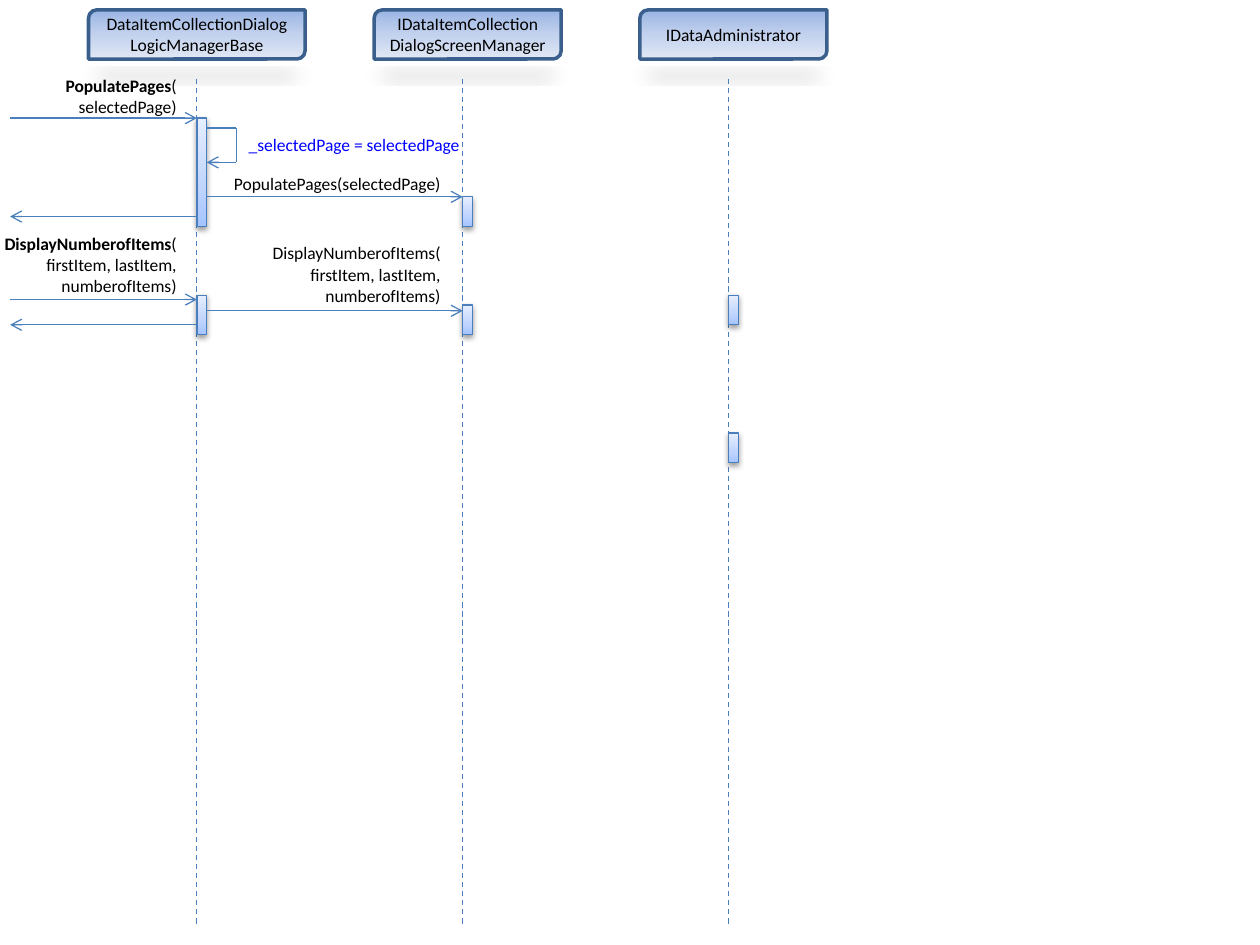
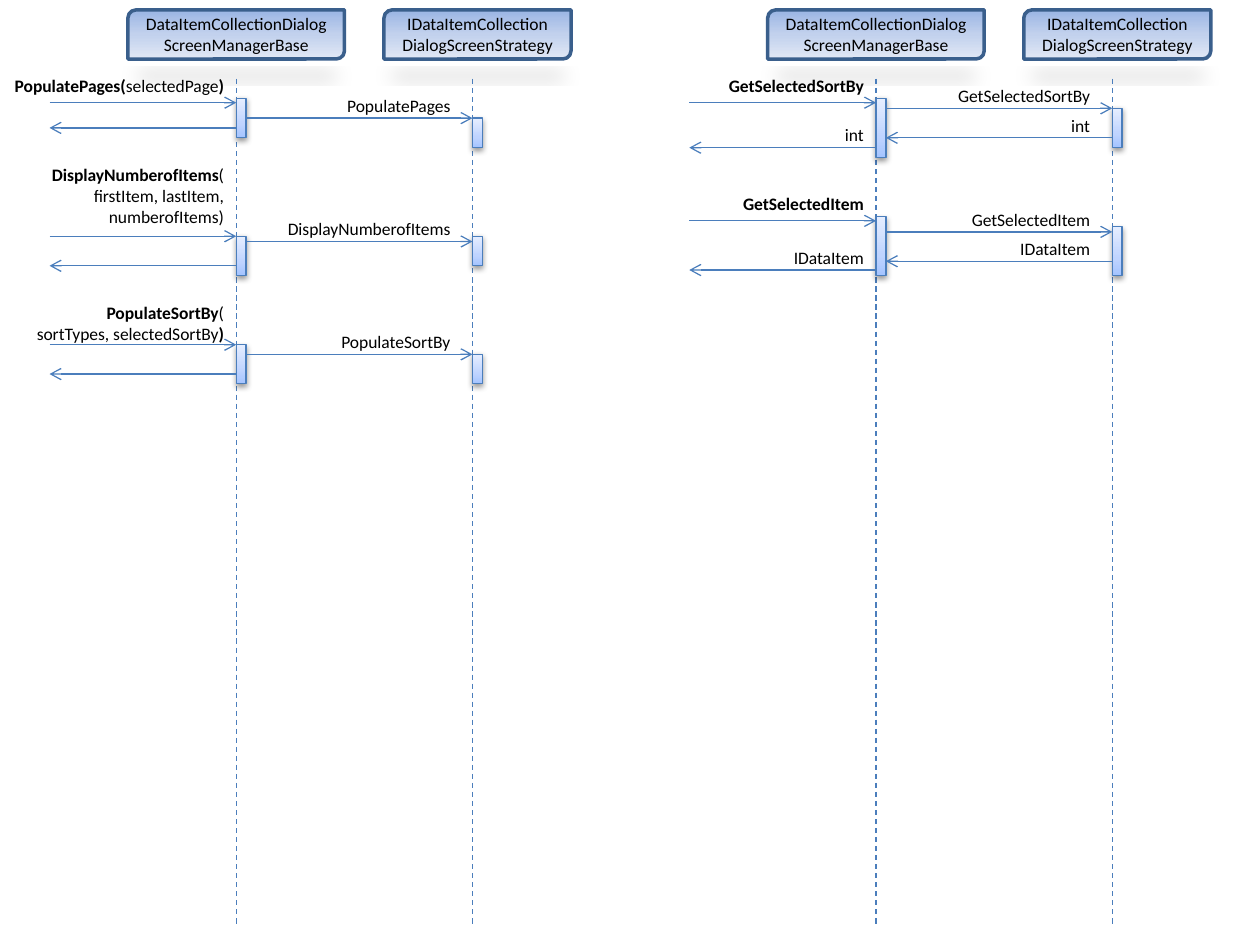
from copy import deepcopy
from itertools import pairwise

from lxml import etree
from pptx import Presentation
from pptx.dml.color import RGBColor
from pptx.enum.dml import MSO_LINE
from pptx.enum.shapes import MSO_CONNECTOR, MSO_SHAPE
from pptx.enum.text import MSO_ANCHOR, PP_ALIGN
from pptx.oxml.ns import qn
from pptx.util import Pt

STRAIGHT = MSO_CONNECTOR.STRAIGHT
DASH = MSO_LINE.DASH
HEAD_FORM = MSO_SHAPE.ROUND_2_DIAG_RECTANGLE
BAR_FORM = MSO_SHAPE.RECTANGLE
MIDDLE = MSO_ANCHOR.MIDDLE
LEFT, CENTER, RIGHT = PP_ALIGN.LEFT, PP_ALIGN.CENTER, PP_ALIGN.RIGHT

BLACK = RGBColor(0x00, 0x00, 0x00)
ASSIGNMENT_BLUE = RGBColor(0x00, 0x00, 0xFF)
LINE_BLUE = RGBColor(0x4B, 0x7E, 0xBC)
HEAD_BORDER = RGBColor(0x3A, 0x5F, 0x8C)
# Gradient stops run from top to bottom
HEAD_STOPS = [(0, RGBColor(0x9A, 0xB5, 0xE4)), (0.5, RGBColor(0xC2, 0xD1, 0xED)),
              (1, RGBColor(0xE1, 0xE8, 0xF5))]
BAR_STOPS = [(0, RGBColor(0xE6, 0xEE, 0xFF)), (0.65, RGBColor(0xBF, 0xD4, 0xFF)),
             (1, RGBColor(0xA4, 0xC4, 0xFF))]
HEAD_SHADOW = {"blurRad": Pt(12), "dist": Pt(7), "dir": 5400000,
               "sx": 90000, "sy": -19000, "rotWithShape": 0}
BAR_SHADOW = {"blurRad": Pt(3.15), "dist": Pt(1.6), "dir": 5400000, "rotWithShape": 0}

FONT, FONT_SIZE = "Calibri", 10
HEAD_TOP, HEAD_HEIGHT = 5.65, 28.1
WIDE_HEAD, NARROW_HEAD = (123.75, 61.9), (106.9, 50.6)  # width, offset of the lifeline
LIFELINE_TOP, LIFELINE_BOTTOM = 45, 528.5
BAR_WIDTH = 5.63
OUTER_LENGTH = 106.7
INNER_LABEL_GAP = 5.6
LABEL_PADDING, ROW_HEIGHT = 7.2, 12.2

OUTSIDE = None
ITEMS_ARGUMENTS = "(\nfirstItem, lastItem, numberofItems)"
BASE = "DataItemCollectionDialog\n"
INTERFACE = "IDataItemCollection\n"

# Lifelines: head text, head size, axis, bars as (top, height).
# Messages: sender, receiver, y, then label text (**bold**), top, width, rows.
DIAGRAMS = [
    {
        "outer label gap": 4.5,
        "lifelines": [
            (BASE + "LogicManagerBase", WIDE_HEAD, 112.5, [(67.5, 61.9), (168.75, 22.5)]),
            (INTERFACE + "DialogScreenManager", NARROW_HEAD, 264.4,
             [(112.5, 16.9), (174.4, 16.9)]),
            ("IDataAdministrator", NARROW_HEAD, 416.25, [(168.75, 16.9), (247.5, 16.9)]),
        ],
        "messages": [
            (OUTSIDE, 0, 67.5, "**PopulatePages**(\nselectedPage)", 39.4, 108, 2),
            (0, 1, 112.5, "PopulatePages(selectedPage)", 95.6, 152, 1),
            (0, OUTSIDE, 123.75),
            (OUTSIDE, 0, 171.2, "**DisplayNumberofItems**" + ITEMS_ARGUMENTS, 129.4, 124.6, 3),
            (0, 1, 177.6, "DisplayNumberofItems" + ITEMS_ARGUMENTS, 135, 152, 3),
            (0, OUTSIDE, 185.6),
        ],
        "assignments": [(0, 73.1, 92.8, "_selectedPage = selectedPage")],
    },
    {
        "outer label gap": 0,
        "lifelines": [
            (BASE + "ScreenManagerBase", WIDE_HEAD, 135,
             [(56.25, 22.5), (135, 22.5), (196.9, 22.5)]),
            (INTERFACE + "DialogScreenStrategy", NARROW_HEAD, 270,
             [(67.5, 16.9), (135, 16.9), (202.5, 16.9)]),
            (BASE + "ScreenManagerBase", WIDE_HEAD, 500.6, [(56.25, 33.75), (123.75, 33.75)]),
            (INTERFACE + "DialogScreenStrategy", NARROW_HEAD, 635.6,
             [(61.9, 22.5), (129.4, 28.1)]),
        ],
        "messages": [
            (OUTSIDE, 0, 58.7, "**PopulatePages(**selectedPage**)**", 39.4, 135, 1),
            (0, 1, 67.5, "PopulatePages", 50.6, 101.25, 1),
            (0, OUTSIDE, 73.1),
            (OUTSIDE, 0, 135, "**DisplayNumberofItems**" + ITEMS_ARGUMENTS, 90, 135, 3),
            (0, 1, 138, "DisplayNumberofItems", 121, 123.75, 1),
            (0, OUTSIDE, 151.9),
            (OUTSIDE, 0, 197, "**PopulateSortBy**(\nsortTypes, selectedSortBy**)**",
             168.75, 135, 2),
            (0, 1, 202.5, "PopulateSortBy", 185.6, 101.25, 1),
            (0, OUTSIDE, 213.75),
            (OUTSIDE, 2, 58.7, "**GetSelectedSortBy**", 39.4, 112.5, 1),
            (2, 3, 61.9, "GetSelectedSortBy", 45, 112.5, 1),
            (3, 2, 78.75, "int", 61.9, 101.25, 1),
            (2, OUTSIDE, 84.4, "int", 67.5, 73, 1),
            (OUTSIDE, 2, 126.2, "**GetSelectedItem**", 106.9, 123.75, 1),
            (2, 3, 132.5, "GetSelectedItem", 115.8, 101.25, 1),
            (3, 2, 149.3, "IDataItem", 132.5, 101.25, 1),
            (2, OUTSIDE, 154.3, "IDataItem", 137.7, 73, 1),
        ],
        "assignments": [],
    },
]


def write(text_frame, text, alignment, color=BLACK):
    """Fill the frame, one paragraph a line, with **marked** parts in bold."""
    text_frame.word_wrap = True
    for number, line in enumerate(text.split("\n")):
        paragraph = text_frame.add_paragraph() if number else text_frame.paragraphs[0]
        paragraph.alignment = alignment
        for index, part in enumerate(line.split("**")):
            if part:
                run = paragraph.add_run()
                run.text = part
                run.font.name, run.font.size = FONT, Pt(FONT_SIZE)
                run.font.bold = index % 2 == 1
                run.font.color.rgb = color


def add_label(slide, text, left, top, width, rows, alignment=RIGHT, color=BLACK):
    height = LABEL_PADDING + rows * ROW_HEIGHT
    box = slide.shapes.add_textbox(Pt(left), Pt(top), Pt(width), Pt(height))
    write(box.text_frame, text, alignment, color)


def add_line(slide, start, end, arrow=False, dashed=False):
    connector = slide.shapes.add_connector(STRAIGHT, *map(Pt, start + end))
    connector.line.color.rgb = LINE_BLUE
    connector.line.width = Pt(0.75)
    if dashed:
        connector.line.dash_style = DASH
    properties = connector._element.spPr
    if arrow:
        etree.SubElement(properties.find(qn("a:ln")), qn("a:tailEnd"), type="arrow")
    etree.SubElement(properties, qn("a:effectLst"))


def add_panel(slide, form, box, stops, border, border_width, shadow, opacity):
    """Add a shape with a vertical gradient and an outer shadow."""
    shape = slide.shapes.add_shape(form, *map(Pt, box))
    shape.fill.gradient()
    shape.fill.gradient_angle = 270
    properties = shape._element.spPr
    stop_list = properties.find(qn("a:gradFill")).find(qn("a:gsLst"))
    stop_list.append(deepcopy(stop_list[0]))
    for stop, (position, color) in zip(shape.fill.gradient_stops, stops):
        stop.position = position
        stop.color.rgb = color
    shape.line.color.rgb = border
    shape.line.width = Pt(border_width)
    shape.shadow.inherit = False
    outer = etree.SubElement(properties.find(qn("a:effectLst")), qn("a:outerShdw"),
                             {name: str(value) for name, value in shadow.items()})
    color = etree.SubElement(outer, qn("a:srgbClr"), val=str(BLACK))
    etree.SubElement(color, qn("a:alpha"), val=str(opacity * 1000))
    return shape


def add_lifeline(slide, text, head_size, axis, bars):
    width, offset = head_size
    head = add_panel(slide, HEAD_FORM, (axis - offset, HEAD_TOP, width, HEAD_HEIGHT),
                     HEAD_STOPS, HEAD_BORDER, 2, HEAD_SHADOW, 15)
    head.text_frame.vertical_anchor = MIDDLE
    write(head.text_frame, text, CENTER)
    add_line(slide, (axis, LIFELINE_TOP), (axis, LIFELINE_BOTTOM), dashed=True)
    for top, height in bars:
        add_panel(slide, BAR_FORM, (axis, top, BAR_WIDTH, height),
                  BAR_STOPS, LINE_BLUE, 0.75, BAR_SHADOW, 38)


def add_message(slide, axes, outer_gap, sender, receiver, y, *label):
    ends = [axes[end] for end in (sender, receiver) if end is not OUTSIDE]
    right = max(ends)
    outer = OUTSIDE in (sender, receiver)
    left = right - OUTER_LENGTH if outer else min(ends) + BAR_WIDTH
    points = [(left, y), (right, y)]
    rightward = sender is OUTSIDE or axes[sender] < right
    add_line(slide, *(points if rightward else points[::-1]), arrow=True)
    if label:
        text, top, width, rows = label
        gap = outer_gap if outer else INNER_LABEL_GAP
        add_label(slide, text, right - gap - width, top, width, rows)


def add_assignment(slide, axis, top, bottom, text):
    """Draw a call from a bar back to itself, labelled on its right."""
    near, far = axis + BAR_WIDTH, axis + 4 * BAR_WIDTH
    corners = [(near, top), (far, top), (far, bottom), (near, bottom)]
    for start, end in pairwise(corners):
        add_line(slide, start, end, arrow=end == corners[-1])
    add_label(slide, text, far, top, 168.75, 1, LEFT, ASSIGNMENT_BLUE)


def main():
    presentation = Presentation()
    presentation.slide_width, presentation.slide_height = Pt(720), Pt(540)
    for diagram in DIAGRAMS:
        slide = presentation.slides.add_slide(presentation.slide_layouts[6])
        axes = [axis for _, _, axis, _ in diagram["lifelines"]]
        for lifeline in diagram["lifelines"]:
            add_lifeline(slide, *lifeline)
        for message in diagram["messages"]:
            add_message(slide, axes, diagram["outer label gap"], *message)
        for index, top, bottom, text in diagram["assignments"]:
            add_assignment(slide, axes[index], top, bottom, text)
    presentation.save("out.pptx")


if __name__ == "__main__":
    main()
